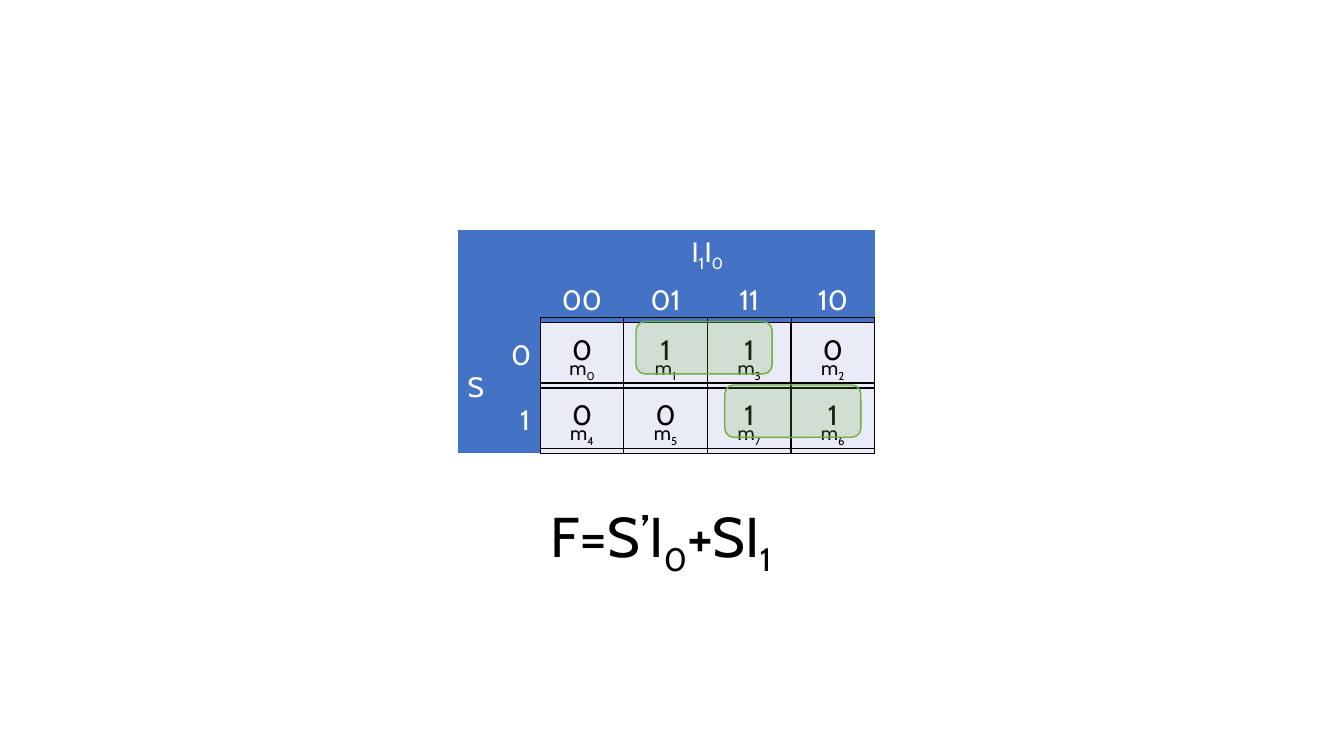
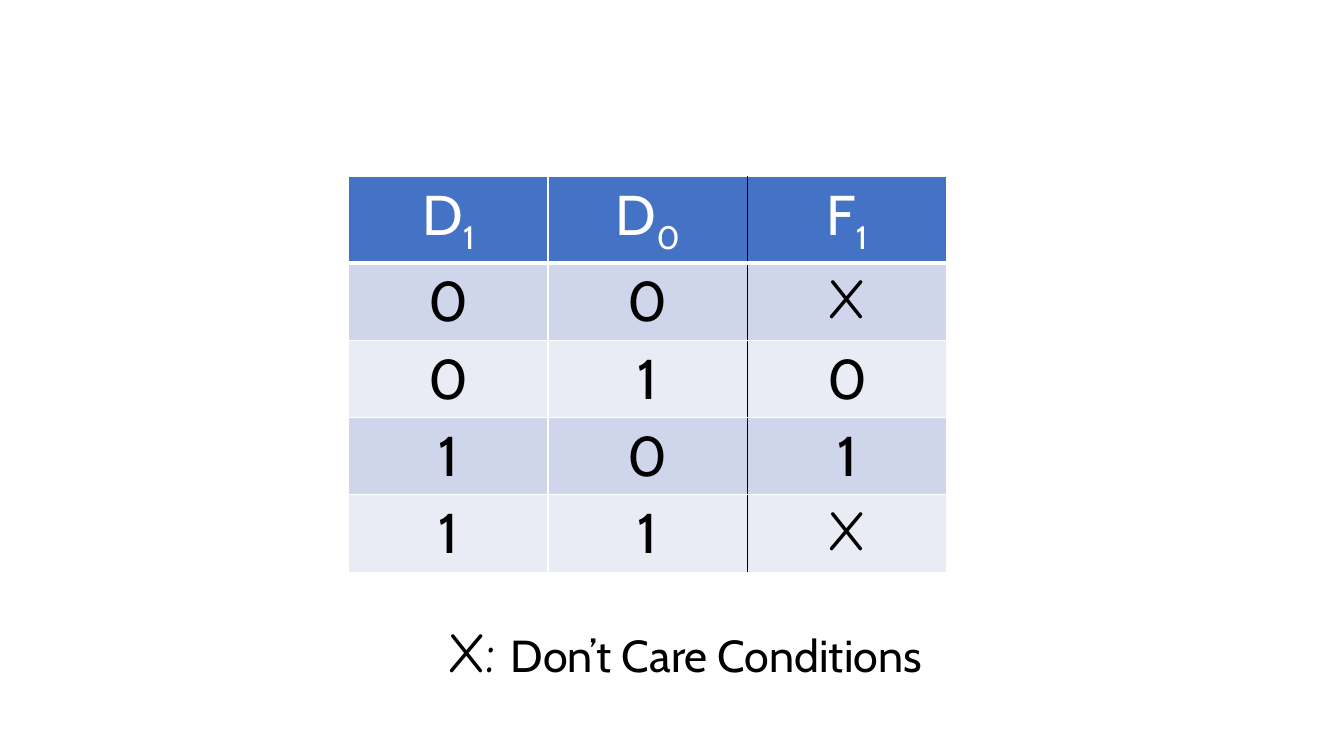
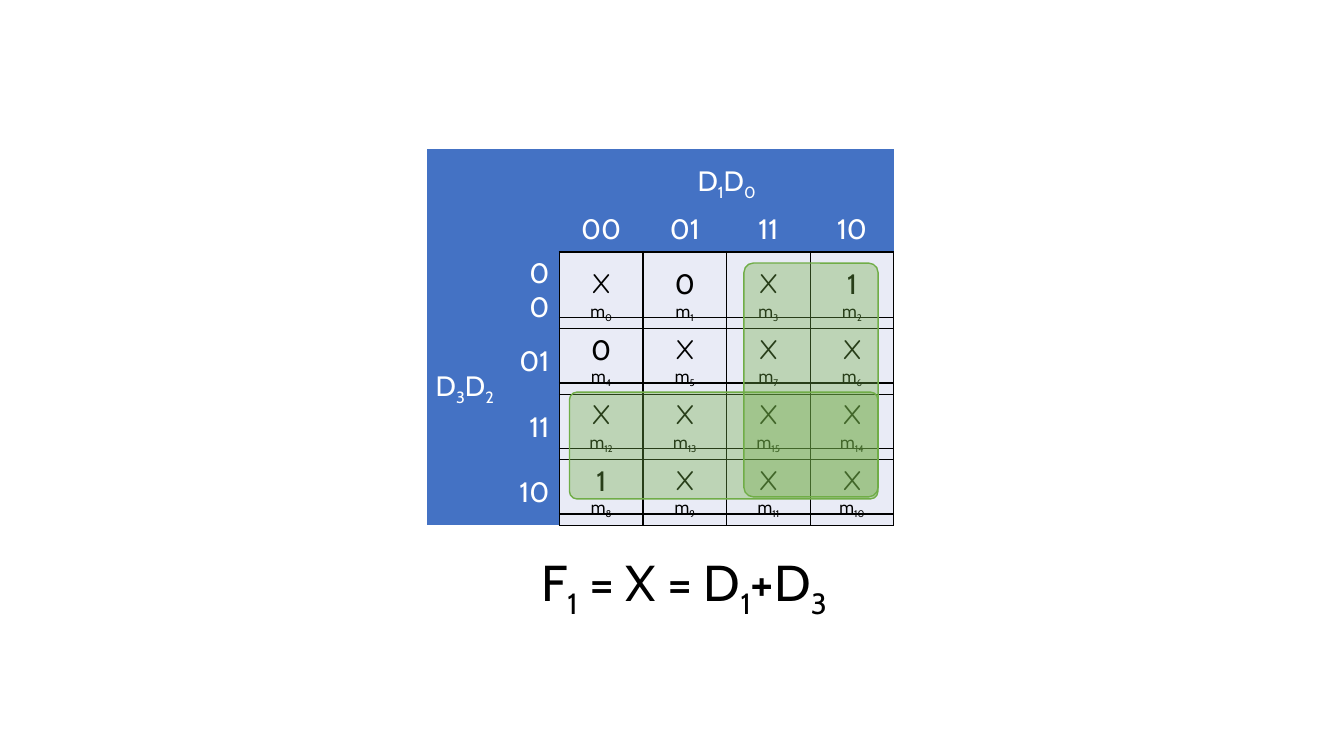
"""Build three slides of Karnaugh maps and a truth table."""
import pptx
import pptx.dml.color
import pptx.enum.shapes
import pptx.enum.text
import pptx.oxml.ns
import pptx.oxml.xmlchemy
import pptx.util
from lxml import etree

Pt = pptx.util.Pt
RGBColor = pptx.dml.color.RGBColor
ALIGN = pptx.enum.text.PP_ALIGN
ANCHOR = pptx.enum.text.MSO_ANCHOR
qn = pptx.oxml.ns.qn

BLUE = RGBColor(0x44, 0x72, 0xC4)
GREEN = RGBColor(0x70, 0xAD, 0x47)
LAVENDER = RGBColor(0xE9, 0xEB, 0xF6)
BAND_DARK = RGBColor(0xCF, 0xD5, 0xEA)
BAND_LIGHT = RGBColor(0xE9, 0xEB, 0xF5)
WHITE = RGBColor(0xFF, 0xFF, 0xFF)
BLACK = RGBColor(0, 0, 0)

BODY_FONT = "Cabin"
X_FONT = "Comic Neue"
NO_STYLE = "{2D5ABB26-0587-4C30-8999-92F81FD0307C}"
GRAY_CODE = (0, 1, 3, 2)
CELL_WIDTH, CELL_HEIGHT = 59.75, 46.8
CODE_HEIGHT = 29.5
LABEL_SIZE = 20
GRID = {edge: (BLACK, 1) for edge in "LRTB"}


def add_runs(paragraph, text, size, colour=BLACK, font=BODY_FONT):
    """Add text in which underscores switch subscript on and off."""
    for index, part in enumerate(text.split("_")):
        if not part:
            continue
        run = paragraph.add_run()
        run.text = part
        for name, value in {"size": Pt(size), "name": font}.items():
            setattr(run.font, name, value)
        run.font.color.rgb = colour
        if index % 2:
            run.font._element.set("baseline", "-25000")


def add_text(slide, left, top, width, height, spans, wrap=False, align=ALIGN.LEFT):
    """Add a text box whose spans are (text, size, font)."""
    box = slide.shapes.add_textbox(Pt(left), Pt(top), Pt(width), Pt(height))
    frame = box.text_frame
    frame.word_wrap = wrap
    frame.auto_size = pptx.enum.text.MSO_AUTO_SIZE.SHAPE_TO_FIT_TEXT
    frame.paragraphs[0].alignment = align
    for text, size, font in spans:
        add_runs(frame.paragraphs[0], text, size, font=font)


def add_grid(slide, left, top, widths, heights):
    """Add an unstyled table with the given column widths and row heights."""
    frame = slide.shapes.add_table(len(heights), len(widths), Pt(left), Pt(top),
                                   Pt(sum(widths)), Pt(sum(heights)))
    for style in frame.element.iter(qn("a:tableStyleId")):
        style.text = NO_STYLE
    table = frame.table
    for column, width in zip(table.columns, widths):
        column.width = Pt(width)
    for row, height in zip(table.rows, heights):
        row.height = Pt(height)
    return table


def format_cell(cell, text="", size=LABEL_SIZE, colour=BLACK, fill=None, borders=None,
                anchor=ANCHOR.MIDDLE, align=ALIGN.CENTER):
    """Set the borders, fill and text of one table cell."""
    properties = cell._tc.get_or_add_tcPr()
    for edge in "LRTB":
        if edge in (borders or {}):
            line_colour, width = borders[edge]
            line = etree.SubElement(properties, qn(f"a:ln{edge}"), w=str(Pt(width)))
            solid = etree.SubElement(line, qn("a:solidFill"))
            etree.SubElement(solid, qn("a:srgbClr"), val=str(line_colour))
    if fill is None:
        cell.fill.background()
    else:
        cell.fill.solid()
        cell.fill.fore_color.rgb = fill
    cell.vertical_anchor = anchor
    paragraph = cell.text_frame.paragraphs[0]
    paragraph.alignment = align
    add_runs(paragraph, text, size, colour, X_FONT if text == "X" else BODY_FONT)


def add_karnaugh_map(slide, left, top, values_top, label_widths, title_height,
                     column_variables, row_variables, row_align, term_size, values):
    """Add a map of minterms and lay the table of its values over it."""
    widths = [CELL_WIDTH] * len(GRAY_CODE)
    heights = [CELL_HEIGHT] * len(values)
    table = add_grid(slide, left, top, label_widths + widths,
                     [title_height, CODE_HEIGHT] + heights)
    table.cell(0, 2).merge(table.cell(0, 5))
    table.cell(2, 0).merge(table.cell(len(values) + 1, 0))
    label = {"colour": WHITE, "fill": BLUE}

    for row, column in ((0, 0), (0, 1), (1, 0), (1, 1)):
        format_cell(table.cell(row, column), **label)
    format_cell(table.cell(0, 2), column_variables, anchor=ANCHOR.BOTTOM, **label)
    format_cell(table.cell(2, 0), row_variables, align=row_align, **label)
    if row_align == ALIGN.RIGHT:
        table.cell(2, 0).margin_left = 0
    for column, code in enumerate(GRAY_CODE, 2):
        format_cell(table.cell(1, column), f"{code:02b}", anchor=ANCHOR.BOTTOM,
                    borders={"B": (BLACK, 1)}, **label)

    digits = len(values) // 2
    for row, row_code in enumerate(GRAY_CODE[:len(values)], 2):
        format_cell(table.cell(row, 1), f"{row_code:0{digits}b}", align=ALIGN.RIGHT,
                    borders={"R": (BLACK, 1)}, **label)
        for column, code in enumerate(GRAY_CODE, 2):
            format_cell(table.cell(row, column), f"m_{row_code * 4 + code}", term_size,
                        fill=LAVENDER, borders=GRID, anchor=ANCHOR.BOTTOM)

    overlay = add_grid(slide, left + sum(label_widths), values_top, widths, heights)
    for row, row_values in enumerate(values):
        for column, value in enumerate(row_values):
            format_cell(overlay.cell(row, column), value, borders=GRID)


def add_group(slide, left, top, width, height, opacity, corner=0.17):
    """Add a translucent rounded box around a group of minterms."""
    shape = slide.shapes.add_shape(pptx.enum.shapes.MSO_SHAPE.ROUNDED_RECTANGLE,
                                   Pt(left), Pt(top), Pt(width), Pt(height))
    shape.shadow.inherit = False
    shape.adjustments[0] = corner
    shape.fill.solid()
    shape.fill.fore_color.rgb = GREEN
    colour = shape.element.spPr.find(qn("a:solidFill"))[0]
    etree.SubElement(colour, qn("a:alpha"), val=str(opacity * 1000))
    shape.line.color.rgb = GREEN
    shape.line.width = Pt(1)


def add_truth_table(slide, left, top, headings, rows):
    """Add a banded truth table with a black rule before the output."""
    table = add_grid(slide, left, top, [142.4] * len(headings), [55.2] * (len(rows) + 1))
    output = len(headings) - 1
    for row, texts in enumerate([headings, *rows]):
        fill = BLUE if row == 0 else BAND_DARK if row % 2 else BAND_LIGHT
        for column, text in enumerate(texts):
            borders = {edge: (WHITE, 1) for edge in "LRTB"}
            if row == 0:
                borders["B"] = (WHITE, 3)
            if column == output:
                borders["L"] = (BLACK, 1)
            if column == output - 1:
                borders["R"] = (BLACK, 1)
            format_cell(table.cell(row, column), text, 40, BLACK if row else WHITE,
                        fill, borders, ANCHOR.TOP)


def main():
    """Build and save the presentation."""
    presentation = pptx.Presentation()
    presentation.slide_width, presentation.slide_height = Pt(960), Pt(540)
    blank = presentation.slide_layouts[6]

    slide = presentation.slides.add_slide(blank)
    add_karnaugh_map(slide, 326.9, 164.2, 226.8, [31, 28], CODE_HEIGHT, "I_1_I_0", "S",
                     ALIGN.LEFT, 14, ["0110", "0011"])
    add_text(slide, 385.9, 355, 192.2, 55.4, [("F=S’I_0_+SI_1", 40, BODY_FONT)])
    for left, top in ((454.3, 229.7), (517.7, 275)):
        add_group(slide, left, top, 97.2, 37.4, 20)

    slide = presentation.slides.add_slide(blank)
    add_truth_table(slide, 249.1, 126, ["D_1", "D_0", "F_1"], ["00X", "010", "101", "11X"])
    add_text(slide, 249.1, 437, 480.2, 55.4,
             [("X:", 40, X_FONT), (" ", 32, X_FONT),
              ("Don’t Care Conditions", 32, BODY_FONT)], True, ALIGN.CENTER)

    slide = presentation.slides.add_slide(blank)
    add_karnaugh_map(slide, 305.3, 106.6, 180, [54.7, 39.6], 41.8, "D_1_D_0", "D_3_D_2",
                     ALIGN.RIGHT, 12, ["X0X1", "0XXX", "XXXX", "1XXX"])
    add_text(slide, 379.4, 390.2, 258.5, 51.1, [("F_1_ = X = D_1_+D_3", 36, BODY_FONT)])
    for left, top, width, height in ((531.4, 187.9, 95.8, 167), (406.8, 280.1, 220.3, 76.3)):
        add_group(slide, left, top, width, height, 36, 0.07)

    presentation.save("out.pptx")


if __name__ == "__main__":
    main()
